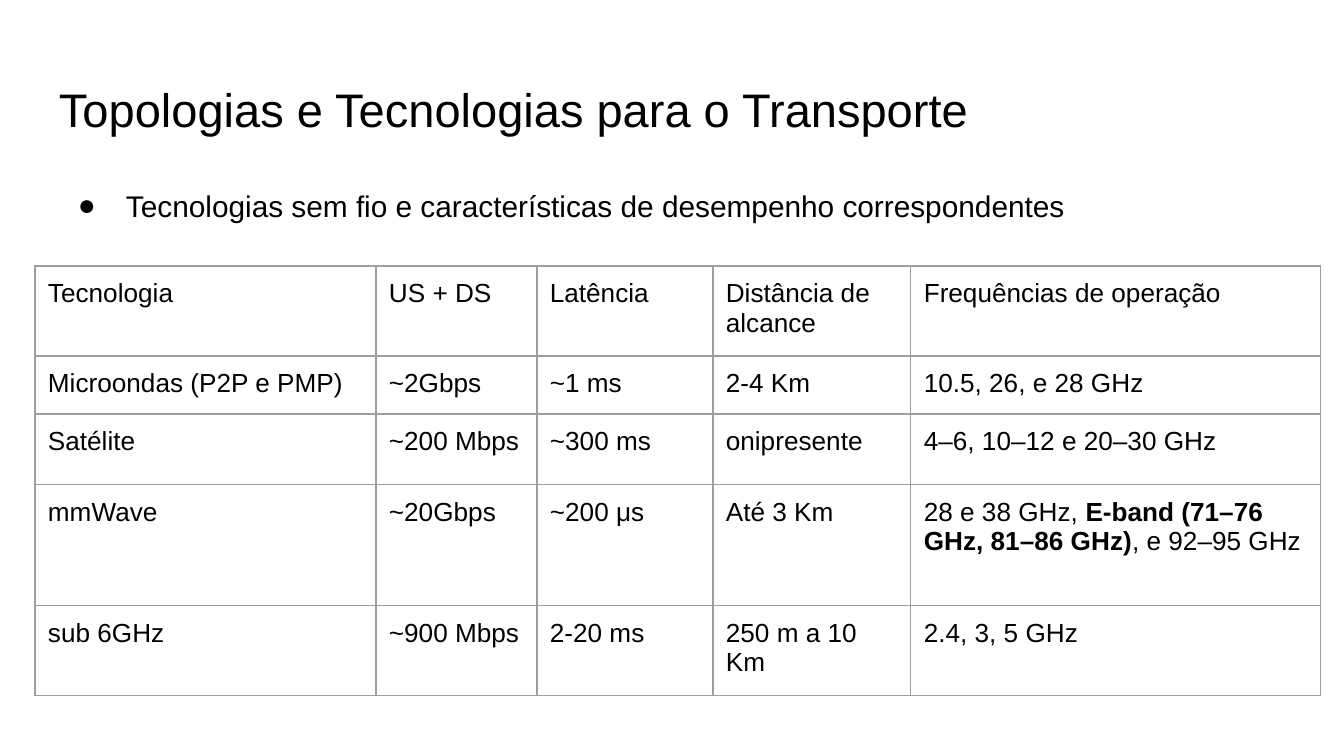
from lxml import etree
from pptx import Presentation
from pptx import util as u
from pptx.dml.color import RGBColor
from pptx.enum import text
from pptx.oxml.ns import qn

PX = 914400 / 134.4
FONT = "Arial"
COLORS = {"text": "000000", "border": "9E9E9E", "background": "FFFFFF"}

TITLE = "Topologias e Tecnologias para o Transporte"
BULLET = "Tecnologias sem fio e características de desempenho correspondentes"
# A cell is a string, or a list of (words, bold) runs.
ROWS = [
    ["Tecnologia", "US + DS", "Latência", "Distância de alcance", "Frequências de operação"],
    ["Microondas (P2P e PMP)", "~2Gbps", "~1 ms", "2-4 Km", "10.5, 26, e 28 GHz"],
    ["Satélite", "~200 Mbps", "~300 ms", "onipresente", "4–6, 10–12 e 20–30 GHz"],
    ["mmWave", "~20Gbps", "~200 μs", "Até 3 Km",
     [("28 e 38 GHz, ", False), ("E-band (71–76 GHz, 81–86 GHz)", True),
      (", e 92–95 GHz", False)]],
    ["sub 6GHz", "~900 Mbps", "2-20 ms", "250 m a 10 Km", "2.4, 3, 5 GHz"],
]
COLUMN_WIDTHS = [341, 161, 176, 198, 410]
ROW_HEIGHTS = [90, 58, 71, 121, 90]
TABLE_LEFT, TABLE_TOP = 35, 266
INSET = 13


def px(length):
    return u.Emu(round(length * PX))


def set_insets(holder):
    """Give a text frame or a table cell the same margin on all sides."""
    for side in ("left", "right", "top", "bottom"):
        setattr(holder, f"margin_{side}", px(INSET))


def add_runs(paragraph, content, size):
    runs = [(content, False)] if isinstance(content, str) else content
    for words, bold in runs:
        run = paragraph.add_run()
        run.text = words
        run.font.name = FONT
        run.font.size = u.Pt(size)
        run.font.bold = bold
        run.font.color.rgb = RGBColor.from_string(COLORS["text"])


def add_paragraph_box(slide, place, anchor):
    """Add a wrapping text box and return its first paragraph."""
    frame = slide.shapes.add_textbox(*map(px, place)).text_frame
    frame.word_wrap = True
    frame.vertical_anchor = anchor
    set_insets(frame)
    return frame.paragraphs[0]


def add_bullet(paragraph):
    properties = paragraph._p.get_or_add_pPr()
    properties.set("marL", str(px(67)))
    properties.set("indent", str(px(-48)))
    color = etree.SubElement(properties, qn("a:buClr"))
    etree.SubElement(color, qn("a:srgbClr"), val=COLORS["text"])
    etree.SubElement(properties, qn("a:buFont"), typeface=FONT)
    etree.SubElement(properties, qn("a:buChar"), char="●")


def add_borders(cell):
    properties = cell._tc.get_or_add_tcPr()
    for edge in ("a:lnL", "a:lnR", "a:lnT", "a:lnB"):
        line = etree.SubElement(properties, qn(edge), w=str(u.Pt(0.75)))
        fill = etree.SubElement(line, qn("a:solidFill"))
        etree.SubElement(fill, qn("a:srgbClr"), val=COLORS["border"])


def add_technology_table(slide):
    table = slide.shapes.add_table(
        len(ROWS), len(COLUMN_WIDTHS), px(TABLE_LEFT), px(TABLE_TOP),
        px(sum(COLUMN_WIDTHS)), px(sum(ROW_HEIGHTS))).table
    table.first_row = table.horz_banding = False
    for column, width in zip(table.columns, COLUMN_WIDTHS):
        column.width = px(width)
    for row, height, contents in zip(table.rows, ROW_HEIGHTS, ROWS):
        row.height = px(height)
        for cell, content in zip(row.cells, contents):
            set_insets(cell)
            add_borders(cell)
            cell.fill.background()
            add_runs(cell.text_frame.paragraphs[0], content, 14)


def main():
    deck = Presentation()
    deck.slide_width, deck.slide_height = px(1344), px(756)
    slide = deck.slides.add_slide(deck.slide_layouts[6])
    slide.background.fill.solid()
    slide.background.fill.fore_color.rgb = RGBColor.from_string(COLORS["background"])

    title = add_paragraph_box(slide, (46, 66, 1252, 84), text.MSO_ANCHOR.BOTTOM)
    add_runs(title, TITLE, 25.2)

    topic = add_paragraph_box(slide, (46, 169, 1132, 503), text.MSO_ANCHOR.TOP)
    add_bullet(topic)
    topic.alignment = text.PP_ALIGN.JUSTIFY
    topic.line_spacing = 1.15
    add_runs(topic, BULLET, 16)

    add_technology_table(slide)
    deck.save("out.pptx")


if __name__ == "__main__":
    main()
